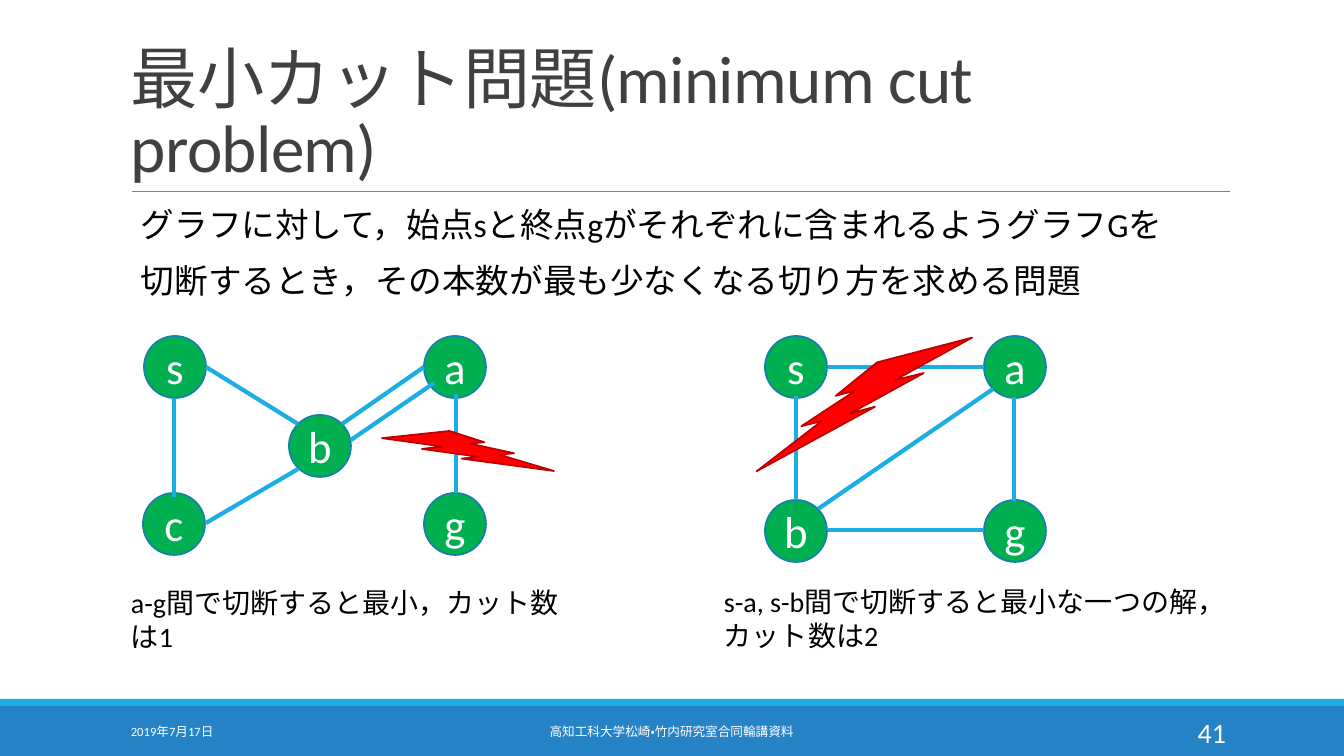
from lxml.etree import SubElement
from pptx import Presentation
from pptx.dml.color import RGBColor
from pptx.enum.lang import MSO_LANGUAGE_ID as Language
from pptx.enum.shapes import MSO_CONNECTOR as Connector, MSO_SHAPE as Shape
from pptx.enum.text import MSO_ANCHOR as Anchor, PP_ALIGN as Align
from pptx.oxml.ns import qn
from pptx.util import Pt

TITLE = "最小カット問題(minimum cut problem)"
BODY = [
    "グラフに対して，始点sと終点gがそれぞれに含まれるようグラフGを",
    "切断するとき，その本数が最も少なくなる切り方を求める問題",
]
FOOTERS = [
    ("2019年7月17日", (121, 712, 272, 40), 9, Align.LEFT),
    ("高知工科大学松崎・竹内研究室合同輪講資料", (406, 712, 531, 40), 9, Align.CENTER),
    ("41", (1092, 712, 144, 40), 20, Align.RIGHT),
]
GRAPHS = [
    {
        "nodes": {"s": (144, 336), "c": (143, 493), "b": (289, 415),
                  "a": (424, 336), "g": (424, 493)},
        "edges": [(174, 398, 174, 497), (456, 394, 456, 493),
                  (206, 367, 298, 424), (298, 469, 206, 523),
                  (424, 367, 342, 424), (434, 383, 351, 440)],
        "cut": ((382, 431, 172, 40), 0, False),
        "caption": ["a-g間で切断すると最小，カット数は1"],
        "caption_box": (121, 581, 449, 44),
    },
    {
        "nodes": {"s": (765, 336), "b": (765, 500),
                  "a": (984, 336), "g": (984, 500)},
        "edges": [(796, 396, 796, 500), (1014, 397, 1014, 501),
                  (828, 367, 984, 367), (828, 530, 984, 530),
                  (818, 509, 993, 389)],
        "cut": ((738, 370, 249, 59), 339.2, True),
        "caption": ["s-a, s-b間で切断すると最小な一つの解，", "カット数は2"],
        "caption_box": (714, 580, 498, 78),
    },
]
NODE_SIZE = 62
SCALE = 914400 / 100.8


def emu(*lengths):
    return [round(length * SCALE) for length in lengths]


def color(value):
    return RGBColor.from_string(value)


def write(frame, lines, size, hue, align=Align.LEFT, anchor=Anchor.TOP):
    frame.word_wrap = True
    frame.vertical_anchor = anchor
    frame.text = "\n".join(lines)
    for para in frame.paragraphs:
        para.alignment = align
        for span in para.runs:
            span.font.name = "Calibri"
            span.font.size = Pt(size)
            span.font.color.rgb = color(hue)
            span.font.language_id = Language.JAPANESE


def add_text(page, bounds, lines, size, hue, **layout):
    box = page.shapes.add_textbox(*emu(*bounds))
    write(box.text_frame, lines, size, hue, **layout)
    return box.text_frame


def add_figure(page, kind, bounds, fill, outline=None):
    figure = page.shapes.add_shape(kind, *emu(*bounds))
    figure.shadow.inherit = False
    figure.fill.solid()
    figure.fill.fore_color.rgb = color(fill)
    if outline:
        figure.line.color.rgb = color(outline)
        figure.line.width = Pt(1.25)
    else:
        figure.line.fill.background()
    return figure


def add_line(page, ends, hue, width):
    line = page.shapes.add_connector(Connector.STRAIGHT, *emu(*ends))
    line.line.color.rgb = color(hue)
    line.line.width = Pt(width)
    SubElement(line._element.spPr, qn("a:effectLst"))


def add_graph(page, graph):
    for label, (left, top) in graph["nodes"].items():
        node = add_figure(page, Shape.OVAL, (left, top, NODE_SIZE, NODE_SIZE),
                          "00B050", "1580A9")
        write(node.text_frame, [label], 32, "FFFFFF", Align.CENTER, Anchor.MIDDLE)
    for ends in graph["edges"]:
        add_line(page, ends, "1CADE4", 3)
    bounds, angle, flipped = graph["cut"]
    bolt = add_figure(page, Shape.LIGHTNING_BOLT, bounds, "FF0000", "C00000")
    bolt.rotation = angle
    if flipped:
        bolt._element.spPr.find(qn("a:xfrm")).set("flipH", "1")
    add_text(page, graph["caption_box"], graph["caption"], 20, "000000")


def main():
    deck = Presentation()
    deck.slide_width, deck.slide_height = emu(1344, 756)
    page = deck.slides.add_slide(deck.slide_layouts[6])

    add_figure(page, Shape.RECTANGLE, (0, 706, 1344, 50), "2683C6")
    add_figure(page, Shape.RECTANGLE, (0, 699, 1344, 7), "1CADE4")
    add_line(page, (132, 191, 1230, 191), "808080", 0.5)

    title = add_text(page, (121, 31, 1109, 160), [TITLE], 48, "404040",
                     anchor=Anchor.BOTTOM).paragraphs[0]
    title.line_spacing = 0.85
    title.runs[0].font._element.set("spc", "-50")

    for text, bounds, size, align in FOOTERS:
        add_text(page, bounds, [text], size, "FFFFFF", align=align, anchor=Anchor.MIDDLE)

    body = add_text(page, (121, 204, 1109, 110), BODY, 24, "000000")
    for index, para in enumerate(body.paragraphs):
        para.line_spacing = 0.9
        para.space_before = Pt(12 if index else 0)
        para.space_after = Pt(2)
        para._p.get_or_add_pPr().set("marL", str(emu(10)[0]))

    for graph in GRAPHS:
        add_graph(page, graph)

    deck.save("out.pptx")


if __name__ == "__main__":
    main()
